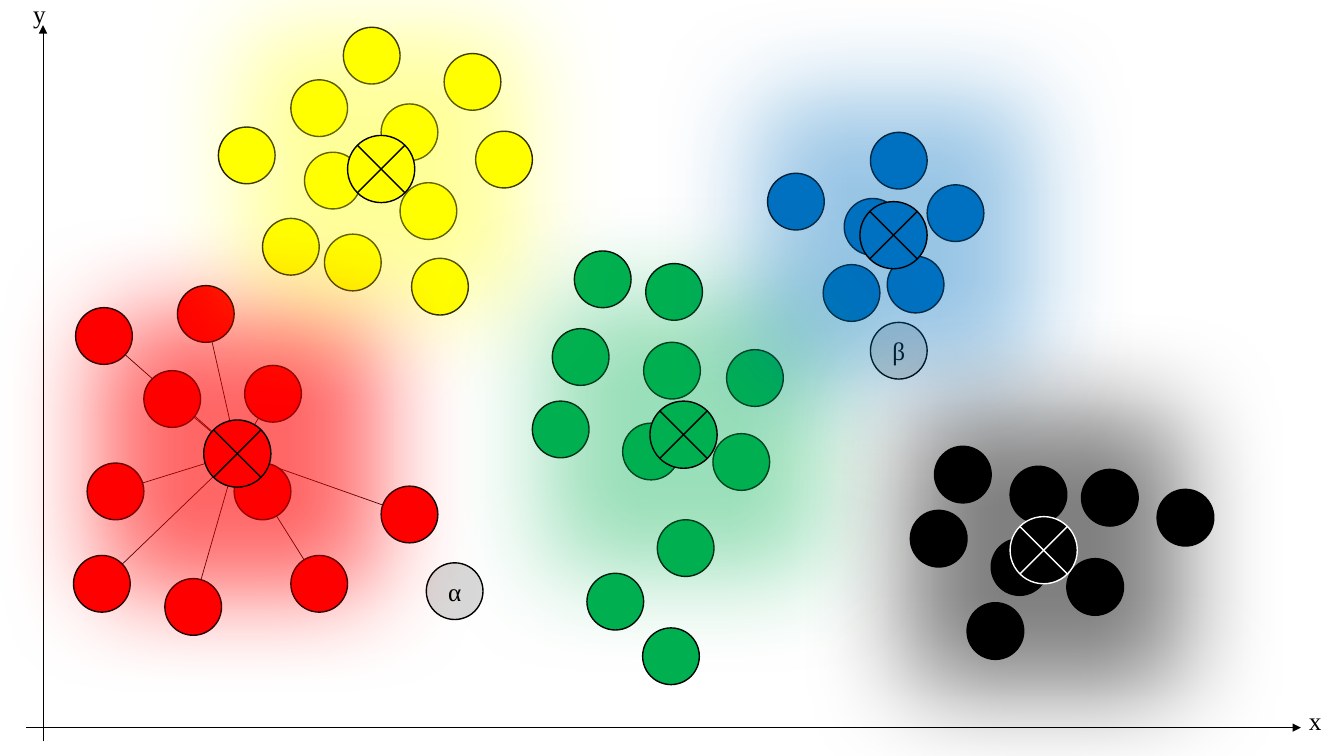
from lxml import etree
from pptx import Presentation
from pptx.dml.color import RGBColor
from pptx.enum.shapes import MSO_CONNECTOR, MSO_SHAPE
from pptx.enum.text import MSO_ANCHOR, PP_ALIGN
from pptx.oxml.ns import qn
from pptx.util import Pt

PX = 9525
DOT, HUB, GLOW = 54, 64, 200
FONT = "Times New Roman"
INK = {
    "red": "FF0000",
    "green": "00B050",
    "yellow": "FFFF00",
    "blue": "0070C0",
    "black": "000000",
    "white": "FFFFFF",
    "gray": "D9D9D9",
}
GROUPS = [
    {"ink": "red", "edge": "black", "glow": 60, "box": (70, 272), "hub": (124, 128),
     "dots": [(153, 169), (67, 81), (13, 169), (87, 279), (207, 257),
              (293, 191), (163, 76), (2, 21), (99, 0), (0, 257)]},
    {"ink": "yellow", "edge": "black", "glow": 40, "box": (208, 26), "hub": (123, 103),
     "dots": [(82, 119), (42, 182), (155, 73), (245, 99), (173, 148), (101, 197),
              (184, 220), (69, 50), (215, 25), (119, 0), (0, 95)]},
    {"ink": "green", "edge": "black", "glow": 40, "box": (507, 239), "hub": (112, 143),
     "dots": [(40, 0), (106, 87), (172, 174), (86, 164), (0, 143), (19, 74),
              (108, 12), (185, 94), (52, 307), (105, 359), (119, 256)]},
    {"ink": "blue", "edge": "black", "glow": 40, "box": (731, 126), "hub": (88, 66),
     "dots": [(0, 39), (73, 63), (114, 118), (53, 126), (98, 0), (152, 50)]},
    {"ink": "black", "edge": "white", "glow": 50, "box": (867, 425), "hub": (95, 67),
     "dots": [(23, 0), (77, 88), (163, 22), (95, 19), (149, 107),
              (235, 41), (0, 61), (54, 149)]},
]


def tint(name):
    return RGBColor.from_string(INK[name])


def draw_line(slide, start, end, arrow=False):
    ends = [n * PX for n in (*start, *end)]
    line = slide.shapes.add_connector(MSO_CONNECTOR.STRAIGHT, *ends)
    line.line.color.rgb = tint("black")
    line.line.width = Pt(0.5)
    if arrow:
        tail = etree.SubElement(line.line._get_or_add_ln(), qn("a:tailEnd"))
        tail.set("type", "triangle")
    etree.SubElement(line._element.spPr, qn("a:effectLst"))


def draw_disk(slide, kind, left, top, size, ink, edge="black"):
    disk = slide.shapes.add_shape(kind, left * PX, top * PX, size * PX, size * PX)
    disk.shadow.inherit = False
    disk.fill.solid()
    disk.fill.fore_color.rgb = tint(ink)
    disk.line.color.rgb = tint(edge)
    disk.line.width = Pt(1)
    return disk


def set_text(frame, text):
    part = frame.paragraphs[0]
    part.text = text
    part.font.size = Pt(18)
    part.font.name = FONT
    part.font.color.rgb = tint("black")
    return part


def draw_axes(slide, box):
    left, top, wide, high = box
    base, stem = top + high - 13, left + 16
    draw_line(slide, (stem, top + high), (stem, top), True)
    draw_line(slide, (left, base), (left + wide, base), True)
    for text, x, y in (("y", left - 3, top - 30), ("x", left + wide - 2, base - 26)):
        label = slide.shapes.add_textbox(x * PX, y * PX, 32 * PX, 38 * PX)
        label.text_frame.word_wrap = True
        set_text(label.text_frame, text)


def draw_spokes(slide, box, hub, dots):
    left, top = box
    start = (left + hub[0] + HUB // 2, top + hub[1] + HUB // 2)
    for x, y in dots:
        draw_line(slide, start, (left + x + DOT // 2, top + y + DOT // 2))


def draw_dots(slide, box, dots, ink):
    left, top = box
    for x, y in dots:
        draw_disk(slide, MSO_SHAPE.OVAL, left + x, top + y, DOT, ink)


def draw_point(slide, box, text):
    disk = draw_disk(slide, MSO_SHAPE.OVAL, *box, DOT, "gray")
    disk.text_frame.vertical_anchor = MSO_ANCHOR.MIDDLE
    set_text(disk.text_frame, text).alignment = PP_ALIGN.CENTER


def draw_hub(slide, box, hub, ink, edge, glow):
    left, top = box
    kind = MSO_SHAPE.FLOWCHART_SUMMING_JUNCTION
    disk = draw_disk(slide, kind, left + hub[0], top + hub[1], HUB, ink, edge)
    effect = disk._element.spPr.find(qn("a:effectLst"))
    halo = etree.SubElement(effect, qn("a:glow"), rad=str(GLOW * PX))
    color = etree.SubElement(halo, qn("a:srgbClr"), val=INK[ink])
    etree.SubElement(color, qn("a:alpha"), val=str(glow * 1000))


def main():
    deck = Presentation()
    deck.slide_width, deck.slide_height = 1280 * PX, 720 * PX
    slide = deck.slides.add_slide(deck.slide_layouts[6])
    red = GROUPS[0]
    draw_spokes(slide, red["box"], red["hub"], red["dots"][1:])
    draw_axes(slide, (25, 24, 1214, 682))
    for group in GROUPS:
        draw_dots(slide, group["box"], group["dots"], group["ink"])
    draw_point(slide, (406, 536), "α")
    draw_point(slide, (829, 307), "β")
    for group in GROUPS:
        draw_hub(slide, group["box"], group["hub"], group["ink"],
                 group["edge"], group["glow"])
    deck.save("out.pptx")


if __name__ == "__main__":
    main()
